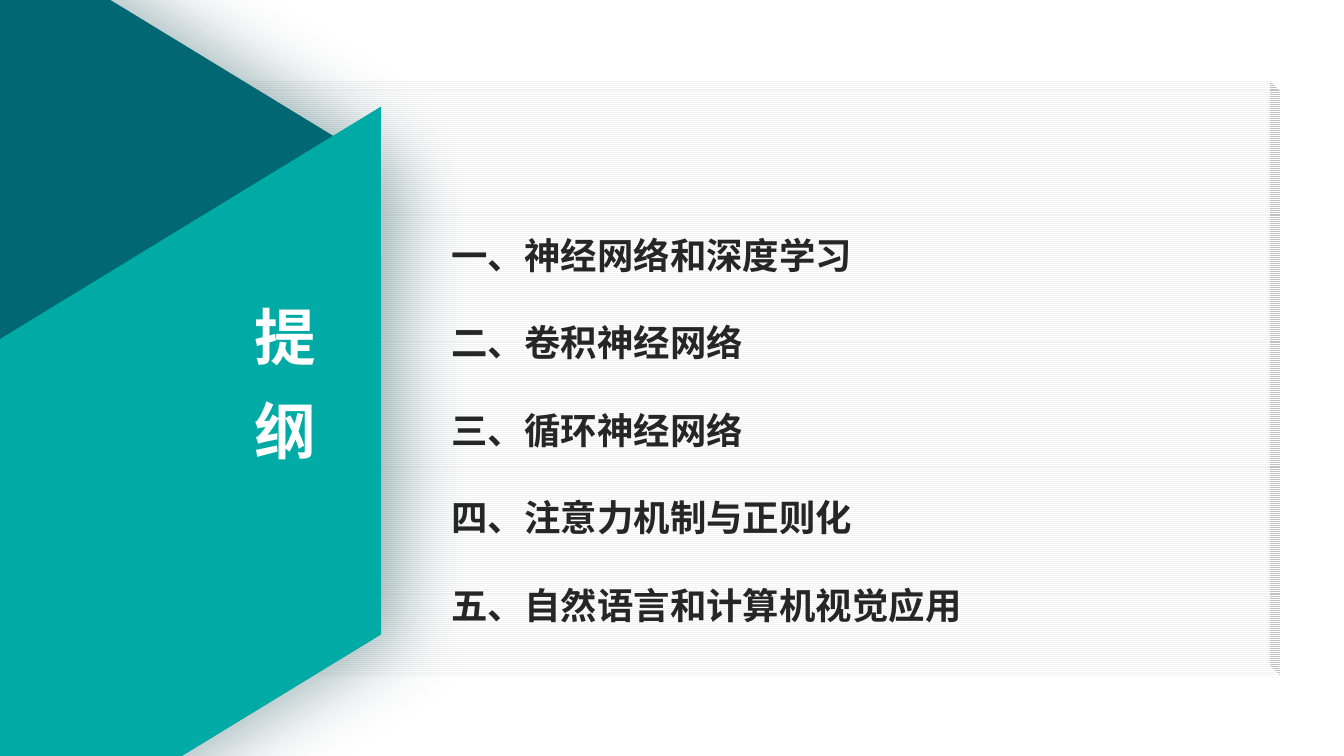
import pptx
import pptx.util
import pptx.dml.color
import pptx.enum.dml
import pptx.enum.shapes
import pptx.enum.text
import pptx.oxml.ns
import lxml.etree

Inches = pptx.util.Inches
Pt = pptx.util.Pt
Shapes = pptx.enum.shapes.MSO_SHAPE
qn = pptx.oxml.ns.qn

COLORS = {
    "white": "FFFFFF",
    "stripe": "F2F2F2",
    "dark_teal": "016773",
    "mid_teal": "007684",
    "teal": "00ABA5",
    "hexagon_shadow": "013F45",
    "title_shadow": "000000",
    "text": "262626",
}
FONT = "Noto Sans CJK SC"
TOPICS = [
    "一、神经网络和深度学习",
    "二、卷积神经网络",
    "三、循环神经网络",
    "四、注意力机制与正则化",
    "五、自然语言和计算机视觉应用",
]


def rgb(name):
    return pptx.dml.color.RGBColor.from_string(COLORS[name])


def add_shadow(effects, color, alpha, blur, distance, angle):
    """Fill an effect list with an outer shadow; lengths in points."""
    shadow = lxml.etree.SubElement(
        effects, qn("a:outerShdw"), blurRad=str(Pt(blur)), dist=str(Pt(distance)),
        dir=str(angle * 60000), algn="l", rotWithShape="0")
    shade = lxml.etree.SubElement(shadow, qn("a:srgbClr"), val=COLORS[color])
    lxml.etree.SubElement(shade, qn("a:alpha"), val=str(alpha * 1000))


class OutlineSlide:
    def __init__(self, presentation):
        self.slide = presentation.slides.add_slide(presentation.slide_layouts[5])

    def shape(self, kind, left, top, width, height, adjustment, rotation=0):
        shape = self.slide.shapes.add_shape(
            kind, Inches(left), Inches(top), Inches(width), Inches(height))
        shape.adjustments[0] = adjustment
        shape.rotation = rotation
        shape.shadow.inherit = False
        shape.line.fill.background()
        return shape

    def format_text(self, text_frame, size, color, spacing, alignment, top_margin):
        text_frame.word_wrap = True
        text_frame.auto_size = pptx.enum.text.MSO_AUTO_SIZE.NONE
        text_frame.vertical_anchor = pptx.enum.text.MSO_ANCHOR.TOP
        text_frame.margin_top = Inches(top_margin)
        for paragraph in text_frame.paragraphs:
            paragraph.alignment = alignment
            paragraph.line_spacing = Pt(spacing)
            for run in paragraph.runs:
                run.font.size = Pt(size)
                run.font.bold = True
                run.font.color.rgb = rgb(color)
                run.font.name = FONT
                latin = run.font._element.find(qn("a:latin"))
                latin.addnext(latin.makeelement(qn("a:ea"), {"typeface": FONT}))

    def topics(self, lines, left, top, width, height):
        box = self.slide.shapes.add_textbox(
            Inches(left), Inches(top), Inches(width), Inches(height))
        box.text_frame.text = "\n".join(lines)
        self.format_text(box.text_frame, 26, "text", 62.4,
                         pptx.enum.text.PP_ALIGN.LEFT, 0.09)

    def title(self, text, left, top, width, height):
        title = self.slide.shapes.title
        title.left, title.top = Inches(left), Inches(top)
        title.width, title.height = Inches(width), Inches(height)
        # One character per line
        title.text_frame.text = "\n".join(text)
        self.format_text(title.text_frame, 44, "white", 67,
                         pptx.enum.text.PP_ALIGN.CENTER, 0)
        for paragraph in title.text_frame.paragraphs:
            for run in paragraph.runs:
                latin = run.font._element.find(qn("a:latin"))
                effects = latin.makeelement(qn("a:effectLst"), {})
                latin.addprevious(effects)
                add_shadow(effects, "title_shadow", 43, 3, 3, 45)
        # Bring the title in front of the shapes
        self.slide.shapes._spTree.append(title._element)


def main():
    presentation = pptx.Presentation()
    presentation.slide_width = Inches(13.33)
    presentation.slide_height = Inches(7.5)
    outline = OutlineSlide(presentation)

    # Striped panel
    panel = outline.shape(Shapes.CUBE, 0, 0.8, 12.7, 5.91, 0.018)
    panel._element.spPr.find(qn("a:xfrm")).set("flipV", "1")
    panel.fill.patterned()
    panel.fill.pattern = pptx.enum.dml.MSO_PATTERN.LIGHT_HORIZONTAL
    panel.fill.fore_color.rgb = rgb("stripe")
    panel.fill.back_color.rgb = rgb("white")

    # Dark hexagon with a soft shadow
    hexagon = outline.shape(Shapes.HEXAGON, -6.21, -0.79, 10.46, 9.51, 0.305, 90)
    hexagon.fill.gradient()
    hexagon.fill.gradient_angle = 270
    stops = [(0.77, "dark_teal"), (1, "mid_teal")]
    for stop, (position, color) in zip(hexagon.fill.gradient_stops, stops):
        stop.position = position
        stop.color.rgb = rgb(color)
    add_shadow(hexagon._element.spPr.find(qn("a:effectLst")),
               "hexagon_shadow", 40, 55, 13, 0)

    # Teal band
    band = outline.shape(Shapes.PARALLELOGRAM, -2.74, 2.89, 8.29, 4.47, 0.61, 328.6)
    band.fill.solid()
    band.fill.fore_color.rgb = rgb("teal")

    # Title and topics
    outline.title("提纲", 2.33, 2.77, 1, 1.9)
    outline.topics(TOPICS, 4.38, 1.79, 7.15, 4.48)

    presentation.save("out.pptx")


if __name__ == "__main__":
    main()
